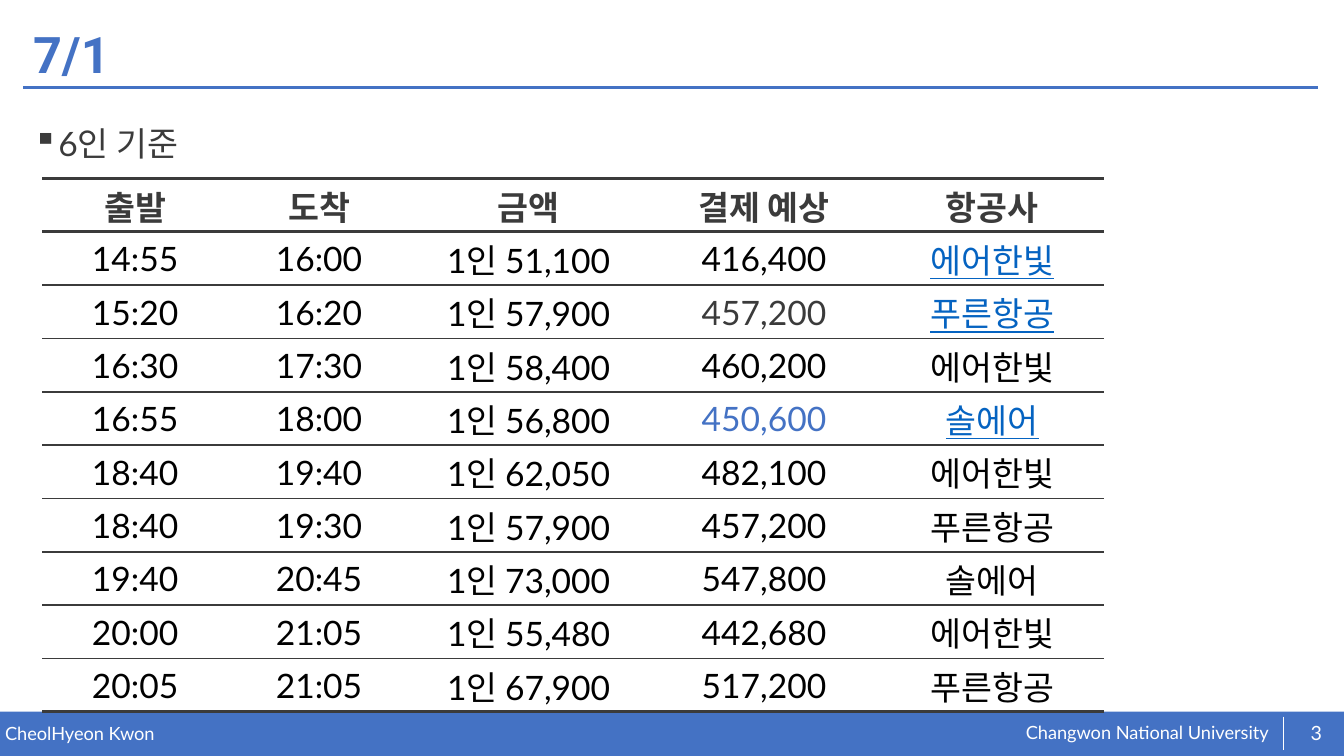
from dataclasses import dataclass

import lxml.etree
import pptx
import pptx.dml.color
import pptx.enum.shapes
import pptx.enum.text
import pptx.oxml.ns
import pptx.util


@dataclass(frozen=True)
class Theme:
    """Colours, fonts and type sizes of the slide."""
    blue: str = "4472C4"
    white: str = "FFFFFF"
    ink: str = "3B3B3B"
    black: str = "000000"
    booking: str = "0563C1"
    heading_font: str = "Roboto"
    body_font: str = "Lato"
    title_size: int = 36
    body_size: int = 24
    number_size: int = 14
    footer_size: int = 13
    heavy_rule: float = 2.25
    light_rule: float = 1.5


THEME = Theme()
SLIDE_WIDTH, SLIDE_HEIGHT = pptx.util.Inches(13.333), pptx.util.Inches(7.5)
GRID_COLUMNS, GRID_ROWS = 160, 90
ALIGN = pptx.enum.text.PP_ALIGN
MIDDLE = pptx.enum.text.MSO_ANCHOR.MIDDLE

HEADINGS = ["출발", "도착", "금액", "결제 예상", "항공사"]
COLUMN_SPANS = [22.08, 21.72, 28.2, 27.84, 26.52]
ROW_SPAN = 6.35
FLIGHTS = [
    ("14:55", "16:00", "51,100", "416,400", "에어한빛"),
    ("15:20", "16:20", "57,900", "457,200", "푸른항공"),
    ("16:30", "17:30", "58,400", "460,200", "에어한빛"),
    ("16:55", "18:00", "56,800", "450,600", "솔에어"),
    ("18:40", "19:40", "62,050", "482,100", "에어한빛"),
    ("18:40", "19:30", "57,900", "457,200", "푸른항공"),
    ("19:40", "20:45", "73,000", "547,800", "솔에어"),
    ("20:00", "21:05", "55,480", "442,680", "에어한빛"),
    ("20:05", "21:05", "67,900", "517,200", "푸른항공"),
]
TOTAL_COLUMN, AIRLINE_COLUMN = 3, 4
BOOKABLE_ROWS = {1, 2, 4}
TOTAL_COLOURS = {2: THEME.ink, 4: THEME.blue}


def across(columns):
    """Turn grid columns into a length."""
    return round(SLIDE_WIDTH * columns / GRID_COLUMNS)


def down(rows):
    """Turn grid rows into a length."""
    return round(SLIDE_HEIGHT * rows / GRID_ROWS)


def place(left, top, width, height):
    """Turn a grid area into left, top, width and height."""
    return across(left), down(top), across(width), down(height)


def rgb(colour):
    """Turn a hex string into a colour."""
    return pptx.dml.color.RGBColor.from_string(colour)


def style(paragraph, size, colour, font=THEME.body_font, bold=False, align=ALIGN.LEFT):
    """Set the type and alignment of a paragraph."""
    paragraph.alignment = align
    paragraph.font.name = font
    paragraph.font.size = pptx.util.Pt(size)
    paragraph.font.bold = bold
    paragraph.font.color.rgb = rgb(colour)


def add_text(slide, area, wording, size, colour, inset=True, anchor=None, **type_style):
    """Add a wrapped text box and return its paragraph."""
    frame = slide.shapes.add_textbox(*place(*area)).text_frame
    frame.word_wrap = True
    frame.vertical_anchor = anchor
    if not inset:
        frame.margin_left = frame.margin_right = frame.margin_top = frame.margin_bottom = 0
    paragraph = frame.paragraphs[0]
    paragraph.text = wording
    style(paragraph, size, colour, **type_style)
    return paragraph


def add_rule(slide, start, end, colour, weight):
    """Add a straight line between two grid points."""
    rule = slide.shapes.add_connector(
        pptx.enum.shapes.MSO_CONNECTOR.STRAIGHT,
        across(start[0]), down(start[1]), across(end[0]), down(end[1]))
    rule.line.color.rgb = rgb(colour)
    rule.line.width = pptx.util.Pt(weight)
    lxml.etree.SubElement(rule._element.spPr, pptx.oxml.ns.qn("a:effectLst"))


def add_footer(slide):
    """Add the blue band with author, university and slide number."""
    band = slide.shapes.add_shape(
        pptx.enum.shapes.MSO_SHAPE.RECTANGLE, *place(0, 84.72, GRID_COLUMNS, 5.28))
    band.shadow.inherit = False
    band.fill.solid()
    band.fill.fore_color.rgb = rgb(THEME.blue)
    band.line.fill.background()
    add_text(slide, (121.56, 85.92, 32.52, 2.76), " Changwon National University",
             THEME.footer_size, THEME.white, inset=False)
    add_text(slide, (0.6, 86.04, 78.6, 2.64), "CheolHyeon Kwon",
             THEME.footer_size, THEME.white, inset=False)
    add_rule(slide, (152.76, 85.32), (152.76, 89.28), THEME.white, 0.5)
    add_text(slide, (153.84, 84.84, 5.76, 4.8), "3", THEME.number_size, THEME.white,
             inset=False, anchor=MIDDLE, align=ALIGN.CENTER)


def add_border(cell, side, weight):
    """Draw one side of a table cell."""
    border = lxml.etree.SubElement(
        cell._tc.get_or_add_tcPr(), pptx.oxml.ns.qn(f"a:ln{side}"), w=str(pptx.util.Pt(weight)))
    fill = lxml.etree.SubElement(border, pptx.oxml.ns.qn("a:solidFill"))
    lxml.etree.SubElement(fill, pptx.oxml.ns.qn("a:srgbClr"), val=THEME.ink)


def fill_cell(cell, wording, colour, bold, underline, top, bottom):
    """Write one centred table cell with its rules above and below."""
    cell.margin_left = cell.margin_right = cell.margin_top = pptx.util.Inches(0.01)
    cell.margin_bottom = 0
    cell.vertical_anchor = MIDDLE
    add_border(cell, "T", top)
    add_border(cell, "B", bottom)
    cell.fill.solid()
    cell.fill.fore_color.rgb = rgb(THEME.white)
    paragraph = cell.text_frame.paragraphs[0]
    paragraph.text = wording
    style(paragraph, THEME.body_size, colour, bold=bold, align=ALIGN.CENTER)
    paragraph.font.underline = underline


def flight_colour(row, column):
    """Choose the text colour for a table position."""
    if row == 0:
        return THEME.ink
    if column == AIRLINE_COLUMN and row in BOOKABLE_ROWS:
        return THEME.booking
    if column == TOTAL_COLUMN:
        return TOTAL_COLOURS.get(row, THEME.black)
    return THEME.black


def add_flights(slide):
    """Add the table of flights."""
    rows = [HEADINGS] + [(leave, arrive, f"1인 {fare}", total, airline)
                         for leave, arrive, fare, total, airline in FLIGHTS]
    area = place(5.04, 21.24, sum(COLUMN_SPANS), ROW_SPAN * len(rows))
    table = slide.shapes.add_table(len(rows), len(HEADINGS), *area).table
    table.first_row = table.horz_banding = False
    table_style = table._tbl.tblPr.find(pptx.oxml.ns.qn("a:tableStyleId"))
    table_style.text = "{2D5ABB26-0587-4C30-8999-92F81FD0307C}"
    for column, span in zip(table.columns, COLUMN_SPANS):
        column.width = across(span)
    rules = [THEME.light_rule] * (len(rows) + 1)
    for heavy in (0, 1, -1):
        rules[heavy] = THEME.heavy_rule
    for row, entries in enumerate(rows):
        table.rows[row].height = down(ROW_SPAN)
        for column, wording in enumerate(entries):
            colour = flight_colour(row, column)
            fill_cell(table.cell(row, column), wording, colour, row == 0,
                      colour == THEME.booking, rules[row], rules[row + 1])


def add_basis(slide):
    """Add the bulleted line that names the group size."""
    basis = add_text(slide, (2.76, 12.12, 154.32, 67.56), "6인 기준",
                     THEME.body_size, THEME.ink)
    basis.line_spacing = 1.4
    basis.space_before = pptx.util.Pt(10)
    properties = basis._p.get_or_add_pPr()
    indent = pptx.util.Inches(0.25)
    properties.set("marL", str(indent))
    properties.set("indent", str(-indent))
    bullet = lxml.etree.Element(pptx.oxml.ns.qn("a:buChar"), char="▪")
    properties.find(pptx.oxml.ns.qn("a:defRPr")).addprevious(bullet)


def main():
    """Build and save the flight slide."""
    deck = pptx.Presentation()
    deck.slide_width, deck.slide_height = SLIDE_WIDTH, SLIDE_HEIGHT
    slide = deck.slides.add_slide(deck.slide_layouts[6])
    add_footer(slide)
    add_rule(slide, (2.76, 10.44), (156.96, 10.44), THEME.blue, 2)
    title = add_text(slide, (2.76, 2.16, 154.32, 9.24), "7/1", THEME.title_size, THEME.blue,
                     anchor=MIDDLE, font=THEME.heading_font, bold=True)
    title.line_spacing = 0.9
    add_flights(slide)
    add_basis(slide)
    deck.save("out.pptx")


if __name__ == "__main__":
    main()
